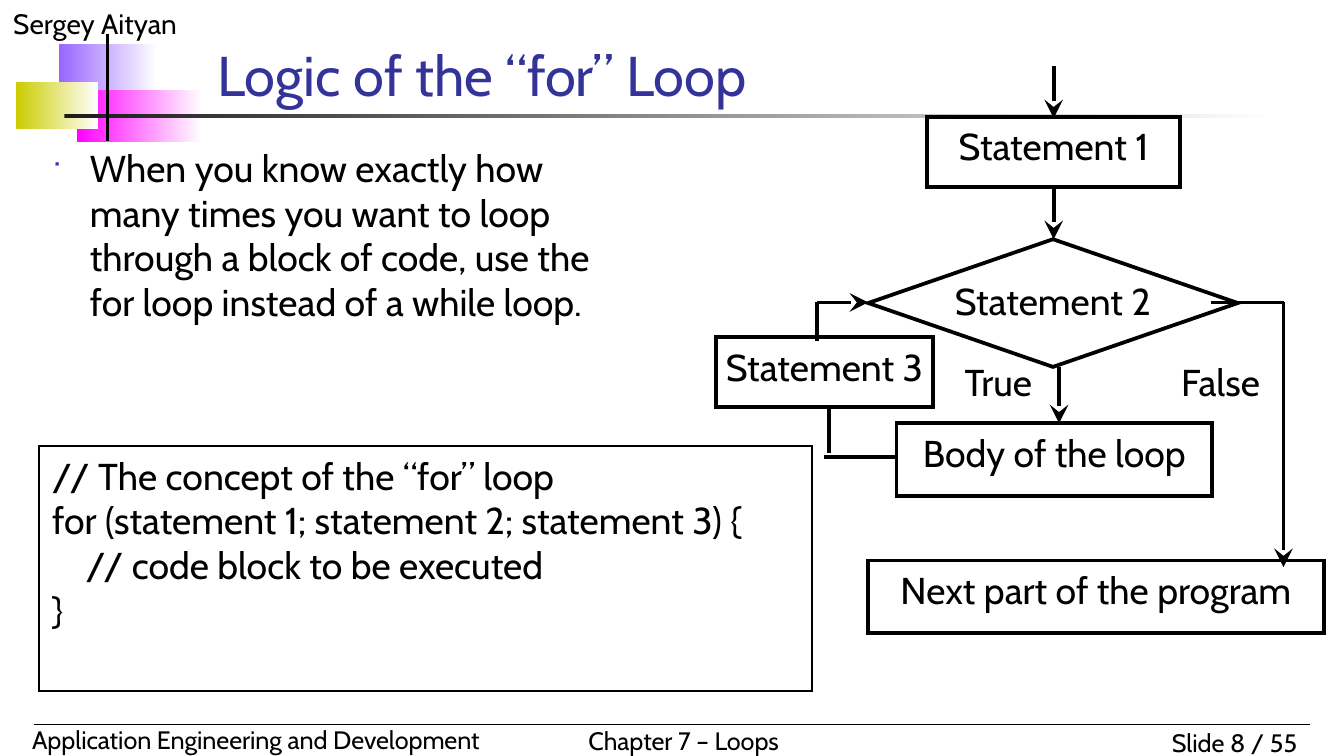
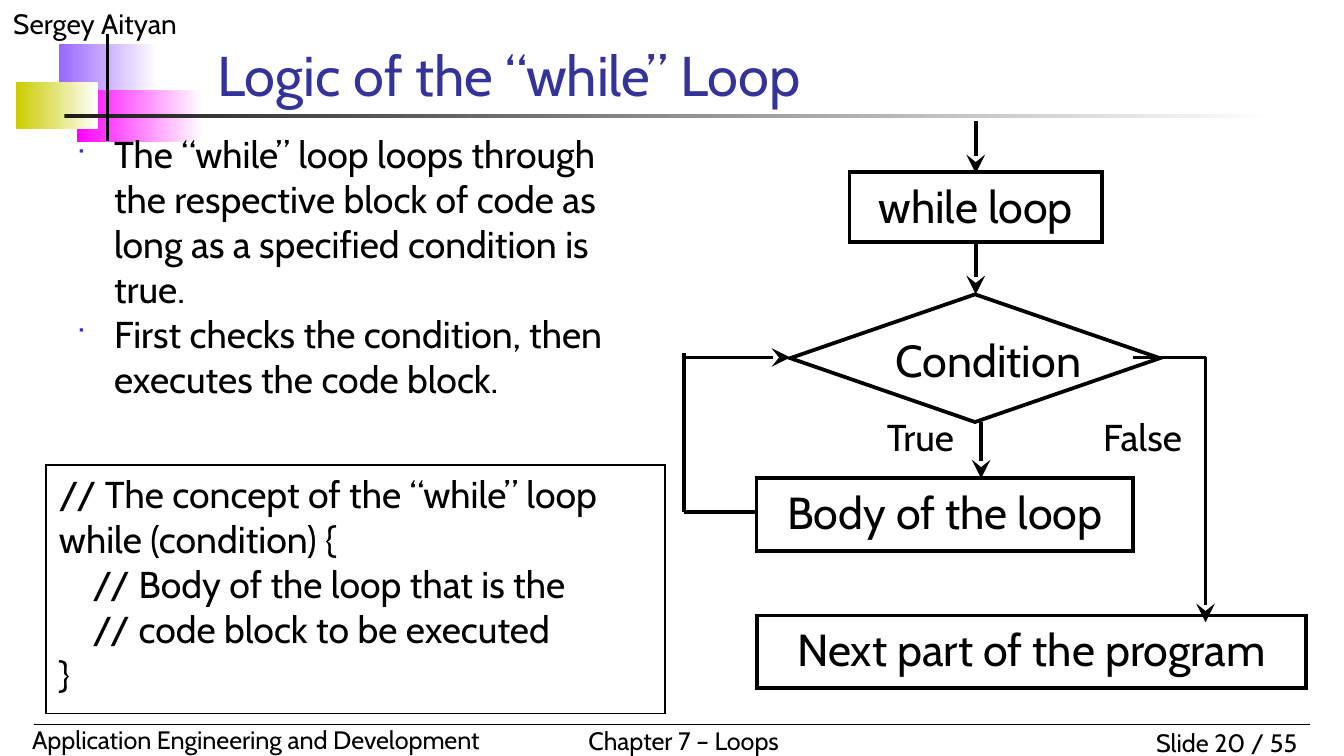
from dataclasses import dataclass

from lxml import etree
from pptx import Presentation
from pptx.dml.color import RGBColor
from pptx.enum import shapes, text
from pptx.oxml import ns
from pptx.util import Inches, Pt


@dataclass(frozen=True)
class Theme:
    font: str = "Cabin"
    bullet_font: str = "Wingdings"
    ink: str = "000000"
    title: str = "333399"
    bullet: str = "3333CC"
    paper: str = "FFFFFF"
    violet: str = "9966FF"
    magenta: str = "FF00FF"
    olive: str = "CCCC00"
    rule: str = "1C1C1C"
    title_size: float = 30
    body_size: float = 20
    author_size: float = 15
    footer_size: float = 13.5
    thin: float = 0.75
    border: float = 1
    heavy: float = 2


@dataclass(frozen=True)
class Flow:
    """Labels and widths of a loop chart; offsets run from the diamond's corner."""
    entry: str
    test: str
    body_width: float
    body_left: float
    next_width: float
    next_left: float
    size: float
    test_align: str = "center"
    step: str = ""


THEME = Theme()
ALIGN = {"left": text.PP_ALIGN.LEFT, "center": text.PP_ALIGN.CENTER,
         "right": text.PP_ALIGN.RIGHT}
RECT = shapes.MSO_SHAPE.RECTANGLE
DIAMOND = shapes.MSO_SHAPE.DIAMOND
AUTHOR = "Sergey Aityan"
COURSE = "Application Engineering and Development"
CHAPTER = "Chapter 7 – Loops"
SLIDE_COUNT = 55


def rgb(code):
    return RGBColor.from_string(code)


def add_xml(parent, tag, **attributes):
    return etree.SubElement(parent, ns.qn(tag), attributes)


def add_bullet(paragraph):
    props = paragraph._p.get_or_add_pPr()
    props.set("marL", str(Inches(0.28)))
    props.set("indent", str(Inches(-0.28)))
    add_xml(add_xml(props, "a:buClr"), "a:srgbClr", val=THEME.bullet)
    add_xml(props, "a:buSzPct", val="60000")
    add_xml(props, "a:buFont", typeface=THEME.bullet_font)
    add_xml(props, "a:buChar", char="■")


def write(shape, lines, size=THEME.body_size, color=THEME.ink, align="left",
          anchor=text.MSO_ANCHOR.TOP, wrap=True, grow=False, bullets=False):
    frame = shape.text_frame
    frame.word_wrap = wrap
    frame.vertical_anchor = anchor
    frame.auto_size = (text.MSO_AUTO_SIZE.SHAPE_TO_FIT_TEXT if grow
                       else text.MSO_AUTO_SIZE.NONE)
    for index, line_text in enumerate(lines):
        paragraph = frame.add_paragraph() if index else frame.paragraphs[0]
        paragraph.alignment = ALIGN[align]
        if bullets:
            add_bullet(paragraph)
        run = paragraph.add_run()
        run.text = line_text
        run.font.name = THEME.font
        run.font.size = Pt(size)
        run.font.color.rgb = rgb(color)


def label(slide, box, *lines, **style):
    write(slide.shapes.add_textbox(*map(Inches, box)), lines, **style)


def ink_line(stroke, weight):
    stroke.color.rgb = rgb(THEME.ink)
    stroke.width = Pt(weight)
    outline = stroke._get_or_add_ln()
    add_xml(outline, "a:miter", lim="800000")
    return outline


def outlined(slide, box, *lines, kind=RECT, weight=THEME.heavy, **style):
    shape = slide.shapes.add_shape(kind, *map(Inches, box))
    shape.shadow.inherit = False
    shape.fill.background()
    ink_line(shape.line, weight)
    write(shape, lines, **style)


def faded(slide, box, color):
    patch = slide.shapes.add_shape(RECT, *map(Inches, box))
    patch.shadow.inherit = False
    patch.line.fill.background()
    patch.fill.gradient()
    patch.fill.gradient_angle = 0
    for stop, shade in zip(patch.fill.gradient_stops, (color, THEME.paper)):
        stop.color.rgb = rgb(shade)


def line(slide, start, end, weight=THEME.heavy, arrow=False):
    connector = slide.shapes.add_connector(
        shapes.MSO_CONNECTOR.STRAIGHT, *map(Inches, (*start, *end)))
    outline = ink_line(connector.line, weight)
    if arrow:
        add_xml(outline, "a:tailEnd", type="stealth", w="lg", len="lg")
    add_xml(connector._element.spPr, "a:effectLst")


def slide_frame(slide, title, number):
    # Coloured patches and title rule
    faded(slide, (0.44, 0.33, 0.73, 0.39), THEME.violet)
    faded(slide, (0.57, 0.67, 0.93, 0.39), THEME.magenta)
    faded(slide, (0.12, 0.61, 0.61, 0.35), THEME.olive)
    faded(slide, (0.48, 0.85, 9, 0.03), THEME.rule)
    # Author and footer
    label(slide, (0, 0, 2.5, 0.35), AUTHOR, size=THEME.author_size, grow=True)
    footer = dict(size=THEME.footer_size, grow=True)
    label(slide, (8.25, 5.36, 1.5, 0.33), f"Slide {number} / {SLIDE_COUNT}",
          align="right", **footer)
    label(slide, (0.14, 5.34, 3.7, 0.33), COURSE, **footer)
    label(slide, (4.28, 5.35, 1.73, 0.33), CHAPTER, wrap=False, **footer)
    line(slide, (0.25, 5.39), (9.75, 5.39), weight=THEME.thin)
    line(slide, (0.8, 0.25), (0.8, 1.05))
    # Title
    label(slide, (1.52, 0.31, 7.35, 0.54), title, size=THEME.title_size,
          color=THEME.title, anchor=text.MSO_ANCHOR.BOTTOM)


def flowchart(slide, left, top, flow):
    def at(x, y):
        return left + x, top + y

    def node(x, y, width, height, caption, align="center", **style):
        outlined(slide, (*at(x, y), width, height), caption,
                 size=flow.size, align=align, wrap=False, **style)

    def link(start, end, arrow=False):
        line(slide, at(*start), at(*end), arrow=arrow)

    middle, side, exit_x = 1.38, 0.47, 3.09
    # Entry, test, body and exit
    node(0, 0, 2.75, 0.95, flow.test, align=flow.test_align, kind=DIAMOND)
    node(0.44, -0.91, 1.88, 0.52, flow.entry)
    node(flow.body_left, 1.37, flow.body_width, 0.54, "Body of the loop")
    node(flow.next_left, 2.39, flow.next_width, 0.54, "Next part of the program")
    # Way down and way out
    link((middle, -1.29), (middle, -0.9), arrow=True)
    link((middle, -0.39), (middle, 0), arrow=True)
    link((1.42, 0.95), (1.42, 1.37), arrow=True)
    link((2.55, side), (exit_x, side))
    link((exit_x, side), (exit_x, 2.44), arrow=True)
    for x, answer in ((0.62, "True"), (2.23, "False")):
        label(slide, (*at(x, 0.84), 0.86, 0.44), answer, grow=True)
    # Way back to the test
    if flow.step:
        link((-0.38, side), (0, side), arrow=True)
        link((-0.33, 1.62), (flow.body_left, 1.62))
        link((-0.29, 1.59), (-0.29, 1.24))
        node(-1.13, 0.73, 1.61, 0.52, flow.step)
        link((-0.38, 0.76), (-0.38, side))
    else:
        link((-0.79, side), (0, side), arrow=True)
        link((-0.79, 1.62), (flow.body_left, 1.62))
        link((-0.79, 1.62), (-0.79, 0.44))


def loop_slide(deck, title, number, points, points_box, code, code_box,
               flow, flow_corner):
    slide = deck.slides.add_slide(deck.slide_layouts[6])
    slide_frame(slide, title, number)
    label(slide, points_box, *points, bullets=True)
    outlined(slide, code_box, *code, weight=THEME.border)
    flowchart(slide, *flow_corner, flow)


def main():
    deck = Presentation()
    # Widescreen, 16 to 9
    deck.slide_width = Inches(10)
    deck.slide_height = Inches(10 * 9 / 16)

    loop_slide(
        deck, "Logic of the “for” Loop", 8,
        points=["When you know exactly how many times you want to loop through "
                "a block of code, use the for loop instead of a while loop."],
        points_box=(0.29, 1.03, 4.41, 1.57),
        code=["// The concept of the “for” loop",
              "for (statement 1; statement 2; statement 3) {",
              "    // code block to be executed",
              "}"],
        code_box=(0.29, 3.32, 5.75, 1.82),
        flow=Flow("Statement 1", "Statement 2", body_width=2.35, body_left=0.21,
                  next_width=3.39, next_left=0, size=20, step="Statement 3"),
        flow_corner=(6.46, 1.78))

    loop_slide(
        deck, "Logic of the “while” Loop", 20,
        points=["The “while” loop loops through the respective block of code "
                "as long as a specified condition is true.",
                "First checks the condition, then executes the code block."],
        points_box=(0.47, 0.93, 4.41, 1.88),
        code=["// The concept of the “while” loop",
              "while (condition) {",
              "    // Body of the loop that is the",
              "    // code block to be executed",
              "}"],
        code_box=(0.34, 3.46, 4.61, 1.85),
        flow=Flow("while loop", "Condition", body_width=2.8, body_left=-0.25,
                  next_width=4.09, next_left=-0.25, size=24, test_align="left"),
        flow_corner=(5.88, 2.19))

    deck.save("out.pptx")


if __name__ == "__main__":
    main()
